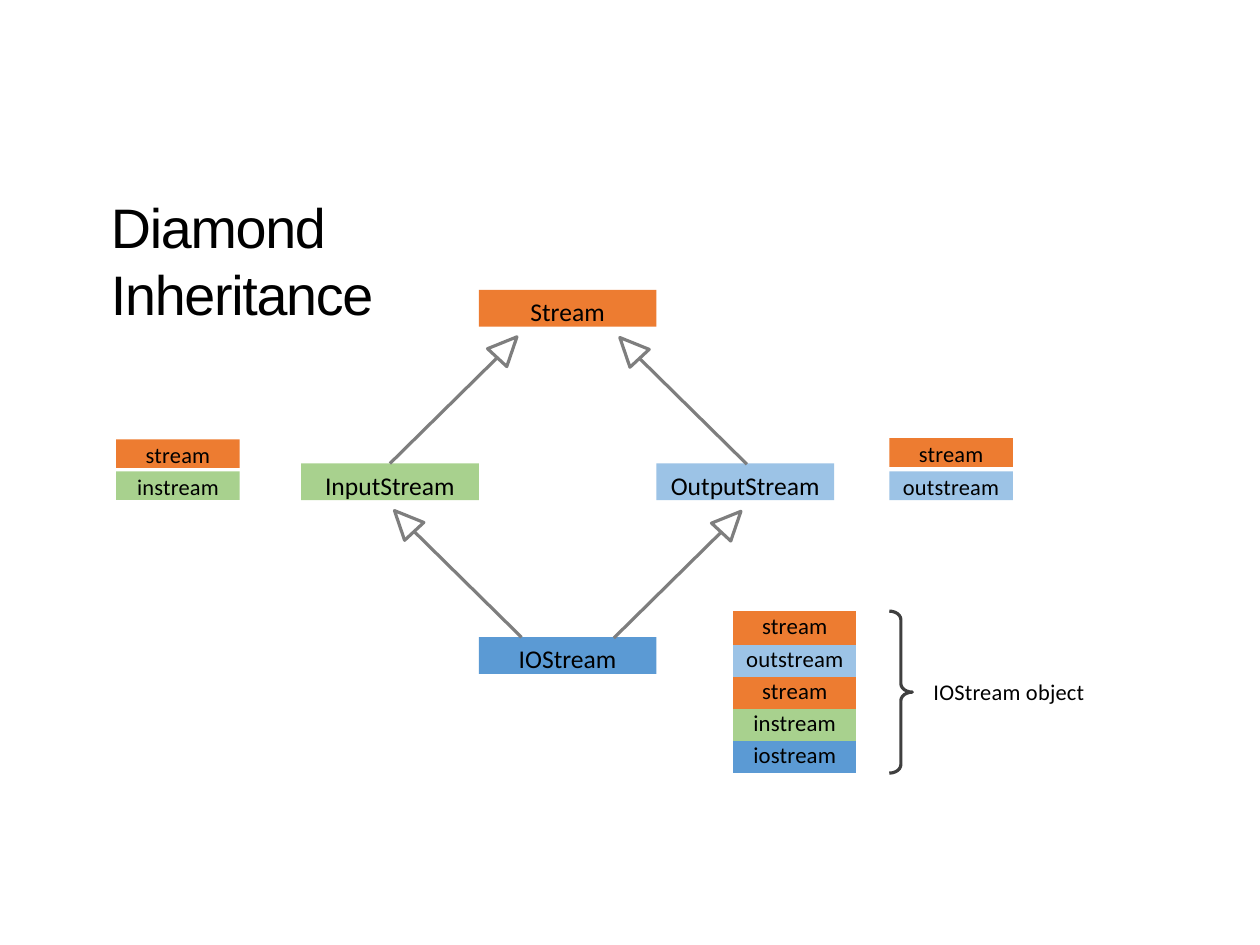
from pptx import Presentation
from pptx.dml.color import RGBColor
from pptx.enum.shapes import MSO_SHAPE as Shape
from pptx.enum.text import MSO_ANCHOR as Anchor, PP_ALIGN as Align
from pptx.oxml.ns import qn
from pptx.util import Pt

COLORS = {
    "stream": "ED7C31", "instream": "A8D18E", "outstream": "9CC3E6",
    "iostream": "5B9AD4", "arrow": "7E7E7E", "brace": "3F3F3F", "text": "000000",
}
NO_TABLE_STYLE = "{2D5ABB26-0587-4C30-8999-92F81FD0307C}"


def color(name):
    return RGBColor.from_string(COLORS[name])


def write(text_frame, text, size, top=0, align=Align.CENTER, font="Calibri",
          spacing=0, anchor=Anchor.TOP):
    text_frame.margin_left = text_frame.margin_right = text_frame.margin_bottom = 0
    text_frame.margin_top = Pt(top)
    text_frame.word_wrap = True
    text_frame.vertical_anchor = anchor
    text_frame.text = text
    paragraph = text_frame.paragraphs[0]
    paragraph.alignment = align
    run = paragraph.runs[0]
    run.font.name, run.font.size = font, Pt(size)
    run.font.color.rgb = color("text")
    run.font._element.set("spc", str(spacing))  # hundredths of a point


presentation = Presentation()
presentation.slide_width, presentation.slide_height = Pt(720), Pt(540)
slide = presentation.slides.add_slide(presentation.slide_layouts[6])
shapes = slide.shapes

# Title
title = shapes.add_textbox(Pt(63.4), Pt(108), Pt(267.8), Pt(78.5))
write(title.text_frame, "Diamond Inheritance", 31.8, 1.4, Align.LEFT, "Arial",
      -75, Anchor.BOTTOM)

# Classes of the diamond, then the parts of the two middle objects
CLASS_SIZE, PART_SIZE = (101.5, 21), (70.6, 16.4)
boxes = [
    ("Stream", "stream", 273.6, 165.7, CLASS_SIZE),
    ("InputStream", "instream", 172.1, 264.8, CLASS_SIZE),
    ("OutputStream", "outstream", 375.1, 264.8, CLASS_SIZE),
    ("IOStream", "iostream", 273.6, 364.1, CLASS_SIZE),
    ("stream", "stream", 66.4, 251, PART_SIZE),
    ("instream", "instream", 66.4, 269.3, PART_SIZE),
    ("stream", "stream", 508.2, 250.4, PART_SIZE),
    ("outstream", "outstream", 508.2, 269.4, PART_SIZE),
]
for text, fill, left, top, size in boxes:
    box = shapes.add_shape(Shape.RECTANGLE, Pt(left), Pt(top), Pt(size[0]), Pt(size[1]))
    box.shadow.inherit = False
    box.fill.solid()
    box.fill.fore_color.rgb = color(fill)
    box.line.fill.background()
    if size == CLASS_SIZE:
        write(box.text_frame, text, 14.6, 3.6)
    else:
        write(box.text_frame, text, 12.8, 0.8, spacing=10)

# Inheritance arrows: tip, and the side the tail lies on
arrows = [(295.4, 192.5, -1), (354.2, 192.9, 1), (225.4, 291.8, 1), (423.4, 292.2, -1)]
for tip_x, tip_y, side in arrows:
    wing, other_wing, neck, tail = [
        (Pt(tip_x + side * x), Pt(tip_y + y))
        for x, y in ((16.8, 6.8), (5.8, 17), (11.2, 11.9), (72.6, 72.4))
    ]
    builder = shapes.build_freeform(*wing)
    builder.add_line_segments([(Pt(tip_x), Pt(tip_y)), other_wing], close=True)
    builder.move_to(*neck)
    builder.add_line_segments([tail], close=False)
    arrow = builder.convert_to_shape()
    arrow.shadow.inherit = False
    arrow.fill.background()
    arrow.line.color.rgb = color("arrow")
    arrow.line.width = Pt(1.8)

# Layout of the IOStream object
parts = ["stream", "outstream", "stream", "instream", "iostream"]
table = shapes.add_table(len(parts), 1, Pt(418.9), Pt(349.2), Pt(70.4), Pt(92.6)).table
table.first_row = table.horz_banding = False
table._tbl.tblPr.find(qn("a:tableStyleId")).text = NO_TABLE_STYLE
for index, part in enumerate(parts):
    table.rows[index].height = Pt(18.3 if index else 19.4)
    cell = table.cell(index, 0)
    cell.fill.solid()
    cell.fill.fore_color.rgb = color(part)
    cell.margin_left = cell.margin_right = cell.margin_bottom = 0
    write(cell.text_frame, part, 13, spacing=10)
    cell.margin_top = Pt(0.5 if index else 1.3)

# Brace and its label
brace = shapes.add_shape(Shape.RIGHT_BRACE, Pt(508.2), Pt(349.2), Pt(13.2), Pt(92.6))
brace.adjustments[0] = 0.37
brace.shadow.inherit = False
brace.fill.background()
brace.line.color.rgb = color("brace")
brace.line.width = Pt(1.8)
label = shapes.add_textbox(Pt(533.4), Pt(386.6), Pt(87.8), Pt(16.6))
write(label.text_frame, "IOStream object", 12.8, 1.2, Align.LEFT, spacing=10)

presentation.save("out.pptx")
